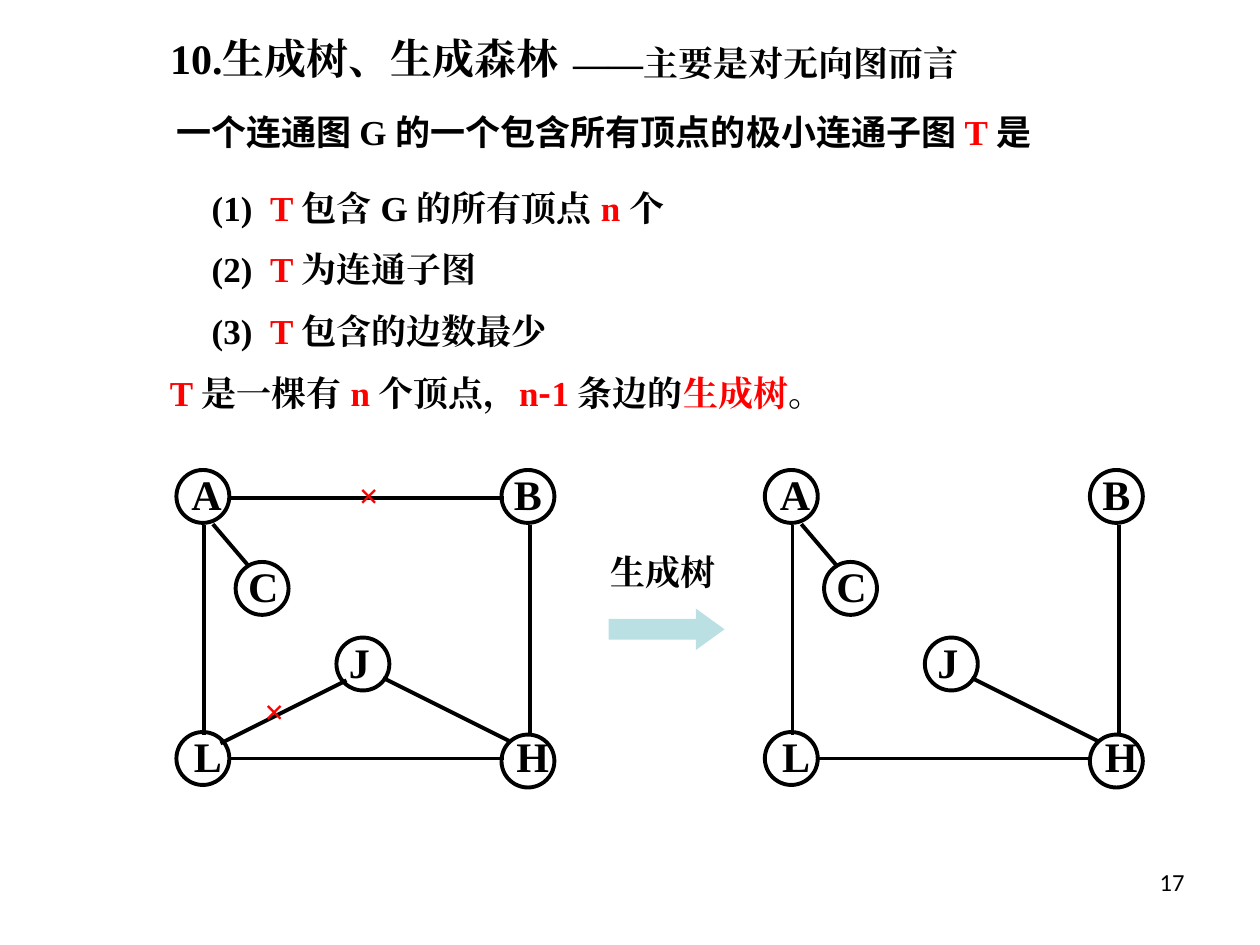
"""Build the slide on spanning trees of a connected graph."""
from lxml.etree import SubElement
from pptx import Presentation
from pptx.dml.color import RGBColor
from pptx.enum.shapes import MSO_CONNECTOR, MSO_SHAPE
from pptx.enum.text import MSO_ANCHOR, MSO_AUTO_SIZE, PP_ALIGN
from pptx.oxml.ns import qn
from pptx.util import Inches, Pt

HUES = {"ink": "000000", "red": "FF0000", "arrow": "BBE0E3"}
SERIF, SANS, PLAIN = "Times New Roman", "Noto Sans CJK SC", "Calibri"

TITLE = [("10.生成树、生成森林", "ink")]
ITEMS = [
    [("(1)  ", "ink"), ("T ", "red"), ("包含 G 的所有顶点 ", "ink"), ("n ", "red"), ("个", "ink")],
    [("(2)  ", "ink"), ("T ", "red"), ("为连通子图", "ink")],
    [("(3)  ", "ink"), ("T ", "red"), ("包含的边数最少", "ink")],
]
NOTES = [
    ((4.45, 0.28, 3.5, 0.44), [("——主要是对无向图而言", "ink")]),
    ((1.3, 0.83, 8.17, 0.44), [
        ("一个连通图 ", "ink", SANS), ("G ", "ink"),
        ("的一个包含所有顶点的极小连通子图 ", "ink", SANS),
        ("T ", "red"), ("是", "ink", SANS)]),
    ((1.25, 2.9, 7.75, 0.44), [
        ("T ", "red"), ("是一棵有 ", "ink"), ("n ", "red"), ("个顶点，", "ink"),
        ("n", "red"), ("-", "red", SANS), ("1 ", "red"), ("条边的", "ink"),
        ("生成树", "red"), ("。", "ink")]),
]
NODES = {
    "A": ((1.4, 3.73), (1.42, 3.67)),
    "B": ((3.98, 3.73), (3.98, 3.67)),
    "C": ((1.87, 4.46), (1.87, 4.4)),
    "L": ((1.4, 5.81), (1.44, 5.75)),
    "H": ((3.98, 5.83), (4, 5.75)),
    "J": ((2.67, 5.06), (2.67, 5)),
}
EDGES = {
    "AB": (1.83, 3.95, 4, 3.95),
    "LH": (1.83, 6.02, 4, 6.02),
    "AL": (1.62, 4.17, 1.62, 5.83),
    "BH": (4.21, 4.17, 4.21, 5.83),
    "AC": (1.69, 4.16, 1.98, 4.5),
    "LJ": (1.75, 5.9, 2.75, 5.4),
    "HJ": (4.04, 5.88, 3.04, 5.38),
}
CUT = {"AB": (2.75, 3.71), "LJ": (2, 5.42)}
SHIFT = 4.67


def tint(name):
    """Give the named colour."""
    return RGBColor.from_string(HUES[name])


def style(target, form):
    """Set each format value on the target."""
    for key, value in form.items():
        setattr(target, key, value)


def write(para, runs, size, font=SERIF, bold=True):
    """Add the coloured runs to a paragraph."""
    for text, hue, *face in runs:
        run = para.add_run()
        run.text = text
        name = face[0] if face else font
        style(run.font, {"size": Pt(size), "bold": bold, "name": name})
        run.font.color.rgb = tint(hue)
        SubElement(run.font._element, qn("a:ea"), typeface=name)


def place(shape, box):
    """Move a shape to its box and set up its text frame."""
    style(shape, dict(zip(("left", "top", "width", "height"), map(Inches, box))))
    style(shape.text_frame, {
        "word_wrap": True, "vertical_anchor": MSO_ANCHOR.TOP,
        "auto_size": MSO_AUTO_SIZE.SHAPE_TO_FIT_TEXT})
    return shape.text_frame


def label(shapes, box, runs, size=20, **face):
    """Add a text box with one paragraph."""
    frame = place(shapes.add_textbox(0, 0, 0, 0), box)
    write(frame.paragraphs[0], runs, size, **face)
    return frame.paragraphs[0]


def graph(shapes, dx, skip=()):
    """Draw the nodes and the kept edges, moved right by dx."""
    for name, ((x, y), (tx, ty)) in NODES.items():
        ring = shapes.add_shape(
            MSO_SHAPE.OVAL, *map(Inches, (x + dx, y, 0.42, 0.42)))
        ring.shadow.inherit = False
        ring.fill.background()
        ring.line.color.rgb = tint("ink")
        ring.line.width = Pt(2.25)
        label(shapes, (tx + dx, ty, 0.75, 0.5), [(name, "ink")], 24)
    for name, (x, y, ex, ey) in EDGES.items():
        if name in skip:
            continue
        edge = shapes.add_connector(
            MSO_CONNECTOR.STRAIGHT, *map(Inches, (x + dx, y, ex + dx, ey)))
        edge.line.color.rgb = tint("ink")
        edge.line.width = Pt(2.25)
        SubElement(edge._element.spPr, qn("a:effectLst"))


def main():
    """Lay out the slide and save it."""
    deck = Presentation()
    deck.slide_width, deck.slide_height = Inches(10), Inches(7.5)
    slide = deck.slides.add_slide(deck.slide_layouts[1])
    shapes = slide.shapes

    head = place(shapes.title, (1.25, 0.21, 4.92, 0.5)).paragraphs[0]
    head.alignment = PP_ALIGN.LEFT
    write(head, TITLE, 24)

    body = place(slide.placeholders[1], (1.58, 1.43, 4.67, 1.39))
    for i, runs in enumerate(ITEMS):
        para = body.add_paragraph() if i else body.paragraphs[0]
        props = para._p.get_or_add_pPr()
        props.set("marL", "0")
        props.set("indent", "0")
        SubElement(props, qn("a:buNone"))
        para.space_before = Pt(11 if i else 0)
        write(para, runs, 20)

    for box, runs in NOTES:
        label(shapes, box, runs)

    graph(shapes.add_group_shape().shapes, 0)
    step = shapes.add_group_shape().shapes
    arrow = step.add_shape(
        MSO_SHAPE.RIGHT_ARROW, *map(Inches, (4.83, 4.83, 0.92, 0.33)))
    arrow.shadow.inherit = False
    arrow.adjustments[1] = 0.69
    arrow.fill.solid()
    arrow.fill.fore_color.rgb = tint("arrow")
    arrow.line.fill.background()
    label(step, (4.75, 4.32, 1.33, 0.44), [("生成树", "ink")])
    graph(shapes.add_group_shape().shapes, SHIFT, CUT)

    for x, y in CUT.values():
        label(shapes, (x, y, 0.58, 0.44), [("×", "red")])
    page = label(shapes, (7.17, 6.83, 2.33, 0.52), [("17", "ink")],
                 14, font=PLAIN, bold=False)
    page.alignment = PP_ALIGN.RIGHT
    deck.save("out.pptx")


if __name__ == "__main__":
    main()
